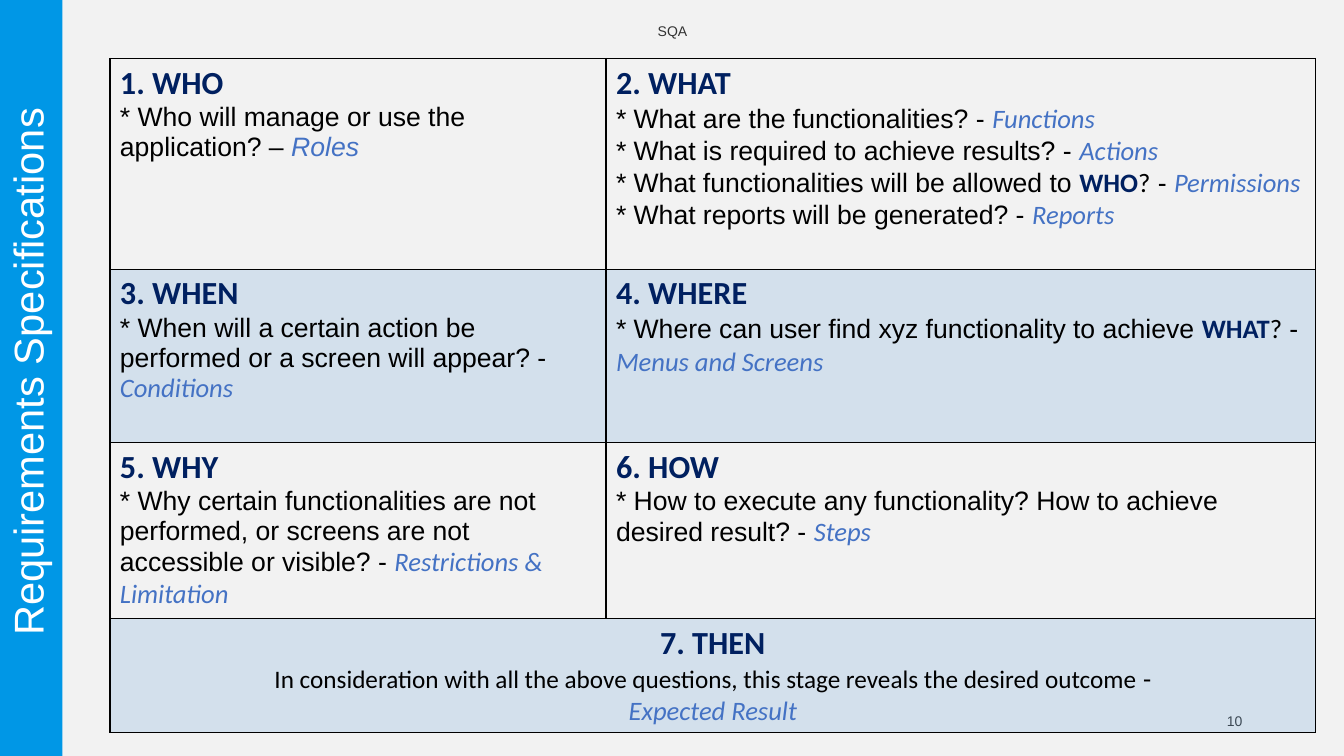
import pptx
import pptx.dml.color
import pptx.enum.shapes
import pptx.enum.text
import pptx.oxml
import pptx.oxml.ns
import pptx.util
from lxml import etree

Inches = pptx.util.Inches
RGBColor = pptx.dml.color.RGBColor
ALIGN = pptx.enum.text.PP_ALIGN
ANCHOR = pptx.enum.text.MSO_ANCHOR

PAPER = RGBColor(0xF2, 0xF2, 0xF2)
BAND = RGBColor(0x00, 0x97, 0xE6)
TINT = RGBColor(0x5B, 0x9B, 0xD5)
NAVY = RGBColor(0x00, 0x20, 0x60)
ANSWER = RGBColor(0x44, 0x72, 0xC4)
BLACK = RGBColor(0, 0, 0)
GREY = RGBColor(0x33, 0x33, 0x33)
WHITE = RGBColor(0xFF, 0xFF, 0xFF)


def styled(text, font="Arial", size=19, color=BLACK, bold=False, italic=False):
    """Return a piece of text with its format."""
    return text, dict(name=font, size=pptx.util.Pt(size), bold=bold, italic=italic), color


def heading(text):
    return styled(text, font="Calibri", size=23, color=NAVY, bold=True)


def answer(text, font="Calibri"):
    return styled(text, font=font, color=ANSWER, italic=True)


def keyword(text):
    return styled(text, font="Calibri", color=NAVY, bold=True)


class SlideBuilder:
    border_width = pptx.util.Pt(1)

    def __init__(self, slide):
        self.slide = slide
        slide.background.fill.solid()
        slide.background.fill.fore_color.rgb = PAPER

    def fill_text(self, frame, paragraphs, align=ALIGN.LEFT, spacing=None):
        frame.word_wrap = True
        for index, pieces in enumerate(paragraphs):
            paragraph = frame.add_paragraph() if index else frame.paragraphs[0]
            paragraph.alignment = align
            paragraph.line_spacing = spacing
            for text, font_format, color in pieces:
                run = paragraph.add_run()
                run.text = text
                run.font.name = font_format["name"]
                run.font.size = font_format["size"]
                run.font.bold = font_format["bold"]
                run.font.italic = font_format["italic"]
                run.font.color.rgb = color

    def bar(self, left, top, width, height, color):
        bar = self.slide.shapes.add_shape(
            pptx.enum.shapes.MSO_SHAPE.RECTANGLE,
            Inches(left), Inches(top), Inches(width), Inches(height))
        bar.shadow.inherit = False
        bar.fill.solid()
        bar.fill.fore_color.rgb = color
        bar.line.fill.background()

    def label(self, left, top, width, height, piece, align=ALIGN.CENTER,
              anchor=ANCHOR.MIDDLE, rotation=0, spacing=None):
        box = self.slide.shapes.add_textbox(
            Inches(left), Inches(top), Inches(width), Inches(height))
        box.rotation = rotation
        box.text_frame.vertical_anchor = anchor
        self.fill_text(box.text_frame, [[piece]], align, spacing)

    def table(self, left, top, widths, heights):
        grid = self.slide.shapes.add_table(
            len(heights), len(widths), Inches(left), Inches(top),
            Inches(sum(widths)), Inches(sum(heights))).table
        grid.first_row = grid.horz_banding = False
        for column, width in zip(grid.columns, widths):
            column.width = Inches(width)
        for index, (row, height) in enumerate(zip(grid.rows, heights)):
            row.height = Inches(height)
            for cell in row.cells:
                self.cell_style(cell, tinted=index % 2 == 1)
        return grid

    def cell_style(self, cell, tinted):
        properties = cell._tc.get_or_add_tcPr()
        for side in ("lnL", "lnR", "lnT", "lnB"):
            properties.append(pptx.oxml.parse_xml(
                f'<a:{side} {pptx.oxml.ns.nsdecls("a")} w="{self.border_width}">'
                f'<a:solidFill><a:srgbClr val="{BLACK}"/></a:solidFill></a:{side}>'))
        if not tinted:
            cell.fill.background()
            return
        cell.fill.solid()
        cell.fill.fore_color.rgb = TINT
        color = properties.find(pptx.oxml.ns.qn("a:solidFill"))[0]
        etree.SubElement(color, pptx.oxml.ns.qn("a:alpha"), val="20000")


QUESTIONS = [
    [
        [[heading("1. WHO")],
         [styled("* Who will manage or use the application? – "), answer("Roles", font="Arial")]],
        [[heading("2. WHAT")],
         [styled("* What are the functionalities? - "), answer("Functions")],
         [styled("* What is required to achieve results? - "), answer("Actions")],
         [styled("* What functionalities will be allowed to "), keyword("WHO"),
          styled("?", font="Calibri"), styled(" - "), answer("Permissions")],
         [styled("* What reports will be generated? - "), answer("Reports")]],
    ],
    [
        [[heading("3. WHEN")],
         [styled("* When will a certain action be performed or a screen will appear? - "),
          answer("Conditions")]],
        [[heading("4. WHERE")],
         [styled("* Where can user find xyz functionality to achieve "), keyword("WHAT"),
          styled("?", font="Calibri"), styled(" - "), answer("Menus and Screens")]],
    ],
    [
        [[heading("5. WHY")],
         [styled("* Why certain functionalities are not performed, or screens are not "
                 "accessible or visible? - "), answer("Restrictions & Limitation")]],
        [[heading("6. HOW")],
         [styled("* How to execute any functionality? How to achieve desired result? - "),
          answer("Steps")]],
    ],
]
OUTCOME = [
    [heading("7. THEN")],
    [styled("In consideration with all the above questions, this stage reveals the "
            "desired outcome", font="Calibri", size=18), styled(" -", font="Calibri")],
    [answer("Expected Result")],
]


def main():
    deck = pptx.Presentation()
    deck.slide_width, deck.slide_height = Inches(13.33), Inches(7.5)
    builder = SlideBuilder(deck.slides.add_slide(deck.slide_layouts[6]))

    # Side band, header and page number
    builder.bar(0, 0, 0.62, 7.5, BAND)
    builder.label(4.42, 0.11, 4.5, 0.4, styled("SQA", size=10, color=GREY))
    builder.label(9.42, 6.95, 3, 0.4, styled("10", size=10, color=GREY), align=ALIGN.RIGHT)

    # Question table, with the outcome across the last row
    matrix = builder.table(1.09, 0.58, [4.92, 7.04], [2.09, 1.72, 1.72, 1.13])
    for row, questions in enumerate(QUESTIONS):
        for column, paragraphs in enumerate(questions):
            builder.fill_text(matrix.cell(row, column).text_frame, paragraphs)
    outcome = matrix.cell(3, 0)
    outcome.merge(matrix.cell(3, 1))
    builder.fill_text(outcome.text_frame, OUTCOME, ALIGN.CENTER)

    # Title running up the side band
    builder.label(-3.06, 3.44, 6.75, 0.5,
                  styled("Requirements Specifications", size=29.7, color=WHITE),
                  anchor=ANCHOR.BOTTOM, rotation=270, spacing=0.85)

    deck.save("out.pptx")


if __name__ == "__main__":
    main()
